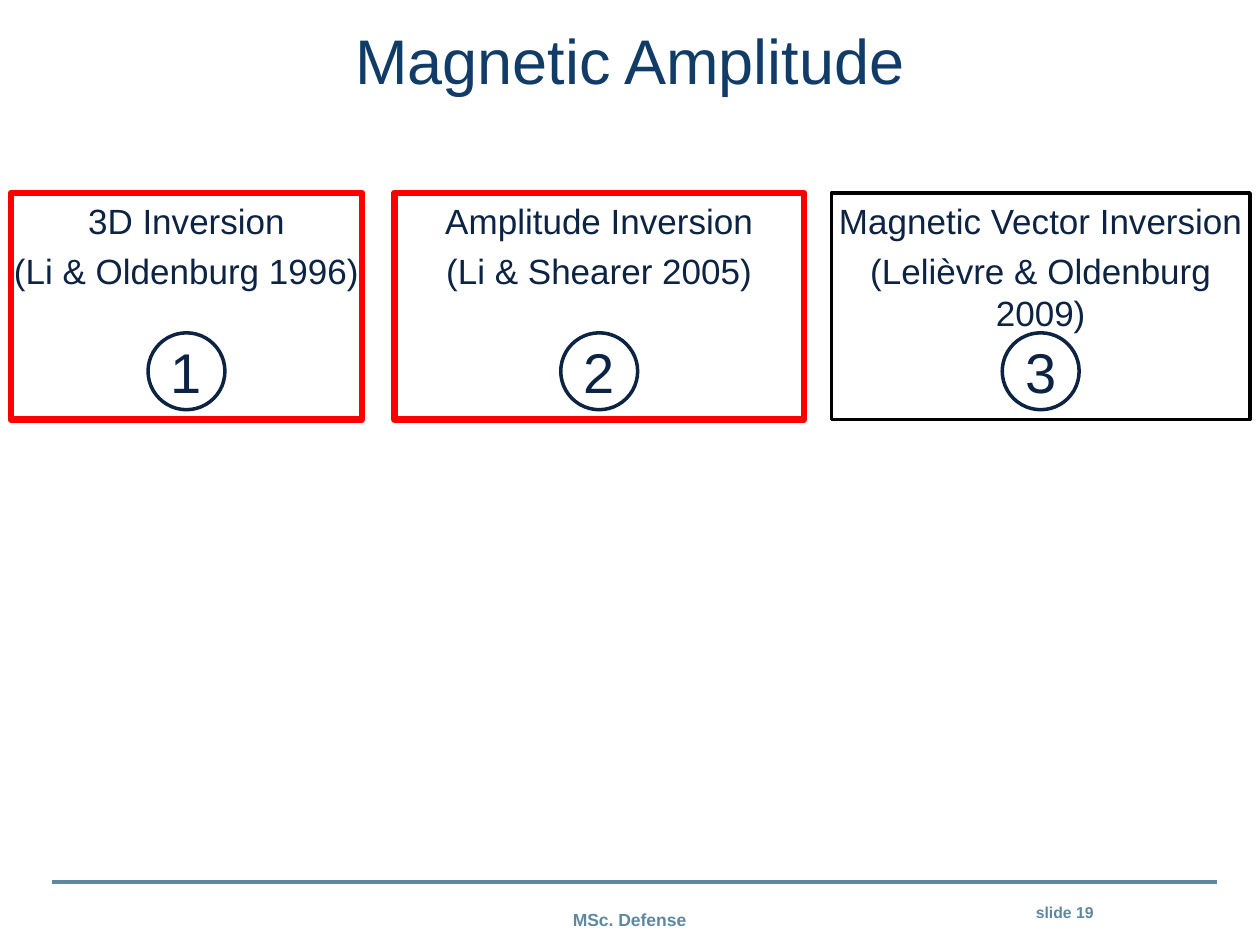
"""Build the Magnetic Amplitude slide with three numbered method boxes."""
from dataclasses import dataclass
from pptx import Presentation
from pptx.dml.color import RGBColor
from pptx.enum.shapes import MSO_CONNECTOR, MSO_SHAPE
from pptx.enum.text import MSO_ANCHOR, PP_ALIGN
from pptx.oxml.ns import qn
from pptx.util import Cm, Pt


@dataclass(frozen=True)
class Theme:
    font: str = "Arial"
    title: str = "113C68"
    ink: str = "0C2344"
    foot: str = "5E88A2"
    paper: str = "FFFFFF"
    plain: str = "000000"
    focus: str = "FF0000"
    head_size: int = 36
    digit_size: int = 32
    text_size: int = 20
    foot_size: int = 10
    page_size: int = 9


theme = Theme()


def write(frame, lines, size, color, bold=False):
    for row, line in enumerate(lines):
        para = frame.paragraphs[0] if row == 0 else frame.add_paragraph()
        para.alignment = PP_ALIGN.CENTER
        if row:
            para.space_before = Pt(size * 0.24)
        run = para.add_run()
        run.text = line
        run.font.name = theme.font
        run.font.size = Pt(size)
        run.font.bold = bold
        run.font.color.rgb = RGBColor.from_string(color)


def outline(kind, left, top, width, height, color, weight):
    shape = slide.shapes.add_shape(kind, Cm(left), Cm(top), Cm(width), Cm(height))
    shape.shadow.inherit = False
    shape.fill.background()
    shape.line.color.rgb = RGBColor.from_string(color)
    shape.line.width = Pt(weight)
    return shape


deck = Presentation()
deck.slide_width, deck.slide_height = Cm(25.4), Cm(19.05)
slide = deck.slides.add_slide(deck.slide_layouts[5])

rule = slide.shapes.add_connector(
    MSO_CONNECTOR.STRAIGHT, Cm(1.05), Cm(17.78), Cm(24.54), Cm(17.78))
rule.line.color.rgb = RGBColor.from_string(theme.foot)
rule.line.width = Pt(2.25)
rule._element.spPr.append(rule._element.makeelement(qn("a:effectLst"), {}))

notes = [
    ("slide 19", 19.66, 18.08, 3.61, 0.58, theme.page_size, True),
    ("MSc. Defense", 11.28, 18.21, 2.82, 0.69, theme.foot_size, False),
]
for label, left, top, width, height, size, wrap in notes:
    note = slide.shapes.add_textbox(Cm(left), Cm(top), Cm(width), Cm(height))
    note.text_frame.word_wrap = wrap
    write(note.text_frame, [label], size, theme.foot, True)

top, height, disc = 3.89, 4.57, 1.55
methods = [
    (0.22, 7.08, 7.8, theme.focus, 3.75, ["3D Inversion", "(Li & Oldenburg 1996)"]),
    (7.95, 8.26, 7.14, theme.focus, 3.75, ["Amplitude Inversion", "(Li & Shearer 2005)"]),
    (16.76, 8.44, 9.02, theme.plain, 2,
     ["Magnetic Vector Inversion", "(Lelièvre & Oldenburg 2009)"]),
]
for count, (left, width, span, color, weight, lines) in enumerate(methods, 1):
    mid = left + width / 2
    label = slide.shapes.add_textbox(Cm(mid - span / 2), Cm(top), Cm(span), Cm(2.06))
    label.text_frame.word_wrap = True
    write(label.text_frame, lines, theme.text_size, theme.ink)
    outline(MSO_SHAPE.RECTANGLE, left, top, width, height, color, weight)

    badge = outline(MSO_SHAPE.OVAL, mid - disc / 2, 6.71, disc, disc, theme.ink, 2)
    badge.fill.solid()
    badge.fill.fore_color.rgb = RGBColor.from_string(theme.paper)
    frame = badge.text_frame
    frame.margin_left = frame.margin_right = frame.margin_top = frame.margin_bottom = 0
    frame.vertical_anchor = MSO_ANCHOR.MIDDLE
    write(frame, [str(count)], theme.digit_size, theme.ink)

title = slide.shapes.title
title.left, title.top, title.width, title.height = Cm(2.54), Cm(0.25), Cm(20.32), Cm(1.88)
title.text_frame.vertical_anchor = MSO_ANCHOR.MIDDLE
write(title.text_frame, ["Magnetic Amplitude"], theme.head_size, theme.title)

deck.save("out.pptx")
